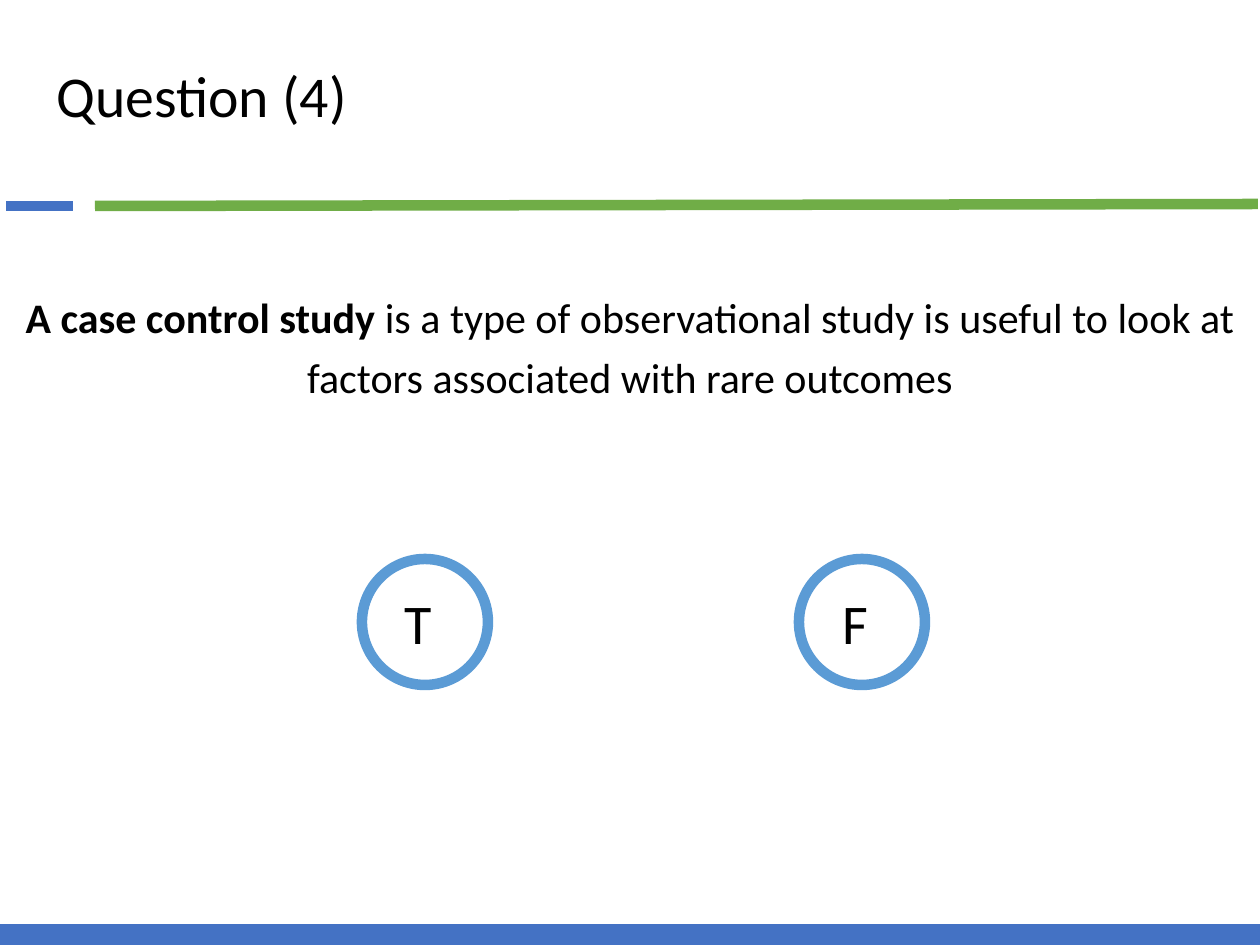
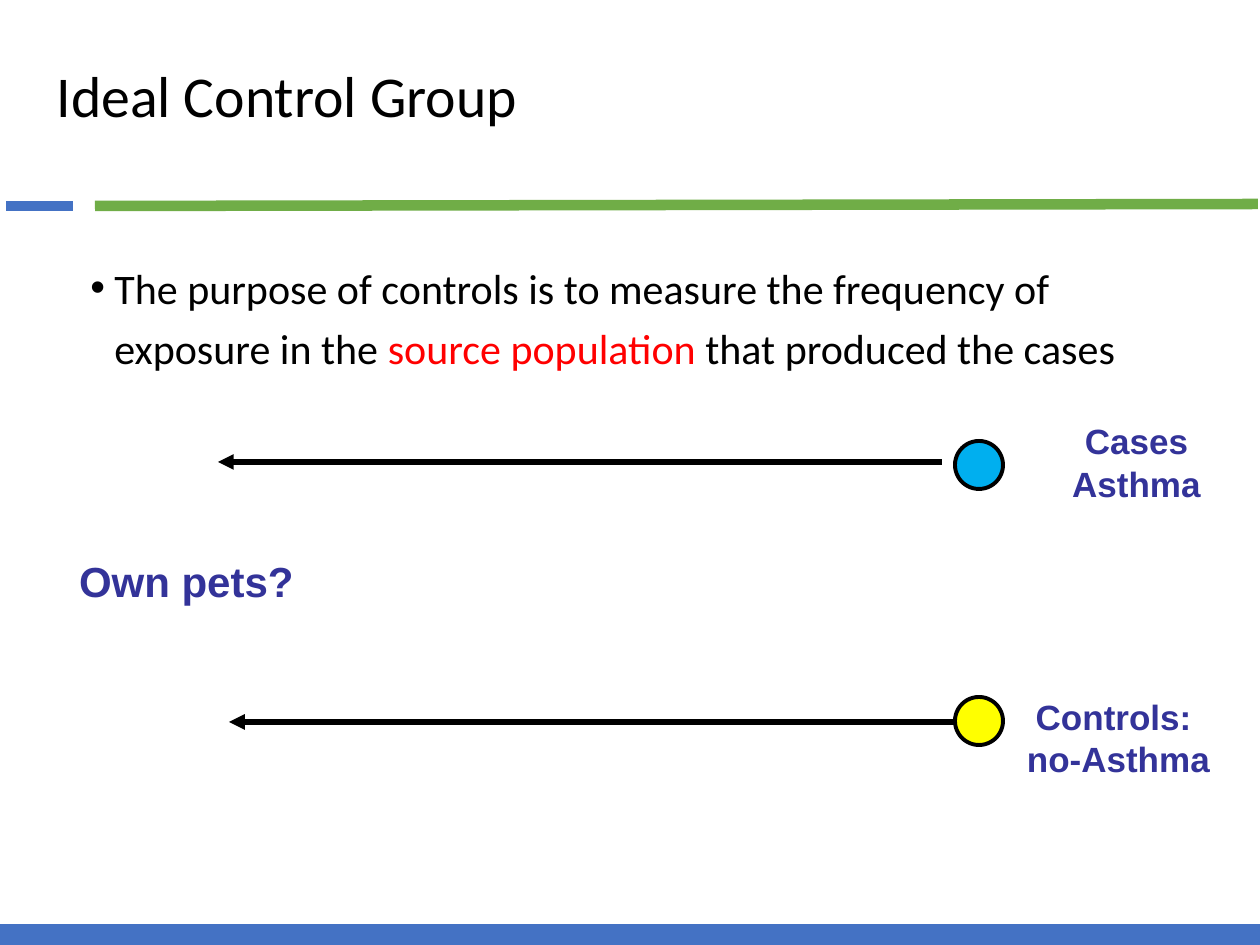
"""Build two slides on case control studies: a true/false question and the ideal control group."""
from dataclasses import dataclass

from lxml.etree import SubElement
from pptx import Presentation
from pptx.dml.color import RGBColor
from pptx.enum.shapes import MSO_CONNECTOR as Connector, MSO_SHAPE as Shape
from pptx.enum.text import MSO_ANCHOR as Anchor, PP_ALIGN as Align
from pptx.oxml.ns import qn
from pptx.presentation import Presentation as Deck
from pptx.slide import Slide
from pptx.text.text import TextFrame
from pptx.util import Emu, Pt

PX_PER_INCH = 126
SLIDE_W, SLIDE_H = 1260, 945
TITLE_ONLY = 5

BLACK = RGBColor(0x00, 0x00, 0x00)
GREEN = RGBColor(0x70, 0xAD, 0x47)
BLUE = RGBColor(0x44, 0x72, 0xC4)
RING_BLUE = RGBColor(0x5B, 0x9B, 0xD5)
CASE_BLUE = RGBColor(0x00, 0xAF, 0xEF)
CONTROL_YELLOW = RGBColor(0xFF, 0xFF, 0x00)
LABEL_INDIGO = RGBColor(0x33, 0x33, 0x99)
RED = RGBColor(0xFF, 0x00, 0x00)


@dataclass(frozen=True)
class Box:
    left: int
    top: int
    width: int
    height: int


@dataclass(frozen=True)
class Rule:
    start: tuple[int, int]
    end: tuple[int, int]
    color: RGBColor
    weight: float
    arrow: bool = False


@dataclass(frozen=True)
class Circle:
    left: int
    top: int
    size: int
    outline: RGBColor
    weight: float
    fill: RGBColor | None = None
    letter: str = ""


@dataclass(frozen=True)
class Label:
    text: str
    box: Box
    size: int
    align: Align


@dataclass(frozen=True)
class Phrase:
    text: str
    color: RGBColor = BLACK
    bold: bool = False


TITLE_BOX = Box(44, 28, 1203, 141)
BANDS = (
    Rule((1258, 204), (95, 206), GREEN, 6),
    Rule((73, 206), (6, 206), BLUE, 6),
    Rule((SLIDE_W, 935), (0, 935), BLUE, 12),
)
ANSWERS = (
    Circle(362, 559, 126, RING_BLUE, 6, letter="T "),
    Circle(799, 559, 126, RING_BLUE, 6, letter="F "),
)
GROUP_DOTS = (
    Circle(955, 441, 48, BLACK, 2.25, CASE_BLUE),
    Circle(955, 697, 48, BLACK, 2.25, CONTROL_YELLOW),
)
LOOK_BACK_ARROWS = (
    Rule((942, 462), (218, 462), BLACK, 3, arrow=True),
    Rule((954, 722), (229, 722), BLACK, 3, arrow=True),
)
GROUP_LABELS = (
    Label("Cases\nAsthma", Box(1013, 420, 247, 84), 20, Align.CENTER),
    Label("Own pets?", Box(79, 556, 234, 50), 24, Align.LEFT),
    Label("Controls: \vno-Asthma", Box(1012, 696, 213, 84), 20, Align.CENTER),
)
QUESTION = (
    Phrase("A case control study ", bold=True),
    Phrase("is a type of observational study is useful to look at "
           "factors associated with rare outcomes"),
)
PURPOSE = (
    Phrase("The purpose of controls is to measure the frequency of exposure in the "),
    Phrase("source population ", RED),
    Phrase("that produced the cases"),
)


def px(length: int) -> Emu:
    """Convert pixels to EMU."""
    return Emu(round(length * 914400 / PX_PER_INCH))


def edges(box: Box) -> tuple[Emu, Emu, Emu, Emu]:
    """Return a box as left, top, width and height in EMU."""
    return px(box.left), px(box.top), px(box.width), px(box.height)


def style_runs(frame: TextFrame, face: str, size: int, color: RGBColor, bold: bool = False) -> None:
    """Give every run of a text frame one font."""
    for paragraph in frame.paragraphs:
        for run in paragraph.runs:
            run.font.name = face
            run.font.size = Pt(size)
            run.font.color.rgb = color
            run.font.bold = bold


def draw_rule(slide: Slide, rule: Rule) -> None:
    """Draw a straight line, with an arrowhead at its end if asked."""
    line = slide.shapes.add_connector(
        Connector.STRAIGHT, *map(px, rule.start), *map(px, rule.end))
    line.line.color.rgb = rule.color
    line.line.width = Pt(rule.weight)
    if rule.arrow:
        SubElement(line.line._get_or_add_ln(), qn("a:tailEnd"), type="triangle")
    SubElement(line._element.spPr, qn("a:effectLst"))


def draw_circle(slide: Slide, circle: Circle) -> None:
    """Draw an outlined circle with an optional fill and letter."""
    box = Box(circle.left, circle.top, circle.size, circle.size)
    disc = slide.shapes.add_shape(Shape.OVAL, *edges(box))
    disc.shadow.inherit = False
    if circle.fill is None:
        disc.fill.background()
    else:
        disc.fill.solid()
        disc.fill.fore_color.rgb = circle.fill
    disc.line.color.rgb = circle.outline
    disc.line.width = Pt(circle.weight)
    if circle.letter:
        disc.text_frame.text = circle.letter
        disc.text_frame.paragraphs[0].alignment = Align.CENTER
        style_runs(disc.text_frame, "Calibri", 32, BLACK)


def draw_label(slide: Slide, label: Label) -> None:
    """Write a bold label in a box without margins."""
    frame = slide.shapes.add_textbox(*edges(label.box)).text_frame
    frame.word_wrap = True
    frame.margin_left = frame.margin_right = frame.margin_top = frame.margin_bottom = 0
    frame.text = label.text
    for paragraph in frame.paragraphs:
        paragraph.alignment = label.align
    style_runs(frame, "Arial", label.size, LABEL_INDIGO, bold=True)


def draw_statement(slide: Slide, phrases: tuple[Phrase, ...], box: Box, bulleted: bool) -> None:
    """Write the main sentence, either bulleted or centred."""
    frame = slide.shapes.add_textbox(*edges(box)).text_frame
    frame.word_wrap = True
    sentence = frame.paragraphs[0]
    sentence.line_spacing = 1.2
    sentence.alignment = Align.LEFT if bulleted else Align.CENTER
    if bulleted:
        properties = sentence._p.get_or_add_pPr()
        properties.set("marL", str(px(24)))
        properties.set("indent", str(-px(24)))
        SubElement(properties, qn("a:buFont"), typeface="Arial")
        SubElement(properties, qn("a:buChar"), char="•")
    for phrase in phrases:
        run = sentence.add_run()
        run.text = phrase.text
        run.font.name = "Calibri"
        run.font.size = Pt(24)
        run.font.bold = phrase.bold
        run.font.color.rgb = phrase.color


def add_titled_slide(deck: Deck, heading: str) -> Slide:
    """Add a slide with the shared bands and title style."""
    slide = deck.slides.add_slide(deck.slide_layouts[TITLE_ONLY])
    for band in BANDS:
        draw_rule(slide, band)
    title = slide.shapes.title
    title.left, title.top, title.width, title.height = edges(TITLE_BOX)
    frame = title.text_frame
    frame.text = heading
    frame.vertical_anchor = Anchor.MIDDLE
    frame.paragraphs[0].alignment = Align.LEFT
    frame.paragraphs[0].line_spacing = 0.9
    style_runs(frame, "Calibri", 33, BLACK)
    return slide


def build_question(deck: Deck) -> None:
    """Build the true/false question."""
    slide = add_titled_slide(deck, "Question (4)")
    draw_statement(slide, QUESTION, Box(12, 275, 1236, 247), bulleted=False)
    for answer in ANSWERS:
        draw_circle(slide, answer)


def build_control_group(deck: Deck) -> None:
    """Build the comparison of cases and controls."""
    slide = add_titled_slide(deck, "Ideal Control Group")
    draw_statement(slide, PURPOSE, Box(78, 246, 1104, 644), bulleted=True)
    for arrow in LOOK_BACK_ARROWS:
        draw_rule(slide, arrow)
    for dot in GROUP_DOTS:
        draw_circle(slide, dot)
    for label in GROUP_LABELS:
        draw_label(slide, label)


def main() -> None:
    """Build and save the deck."""
    deck = Presentation()
    deck.slide_width, deck.slide_height = px(SLIDE_W), px(SLIDE_H)
    build_question(deck)
    build_control_group(deck)
    deck.save("out.pptx")


if __name__ == "__main__":
    main()
